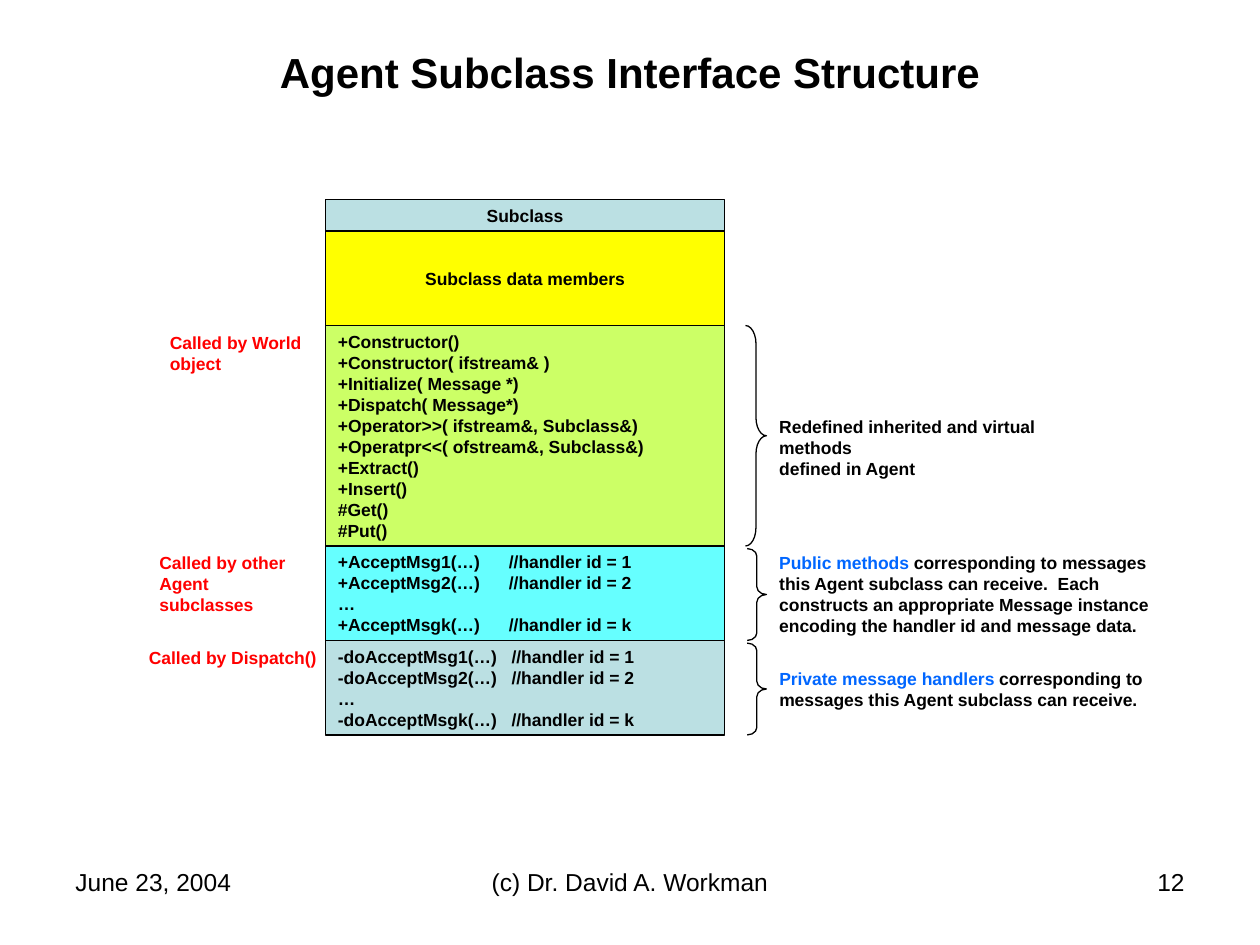
from pptx import Presentation
from pptx.dml.color import RGBColor
from pptx.enum.shapes import MSO_SHAPE
from pptx.enum.text import MSO_ANCHOR, MSO_AUTO_SIZE, PP_ALIGN
from pptx.oxml import parse_xml
from pptx.oxml.ns import nsdecls
from pptx.util import Pt

THEME = {
    "font": "Arial", "title": 24, "body": 10, "footer": 14, "line": 0.75,
    "black": "000000", "red": "FF0000", "blue": "0066FF",
    "pale": "BBE0E3", "yellow": "FFFF00", "green": "CCFF66", "cyan": "66FFFF",
}

TITLE = "Agent Subclass Interface Structure"

SECTIONS = [
    {"fill": "pale", "height": 18, "align": "c", "lines": ["Subclass"]},
    {"fill": "yellow", "height": 54, "align": "c", "lines": ["Subclass data members"]},
    {"fill": "green", "height": 126, "lines": [
        "+Constructor()",
        "+Constructor( ifstream& )",
        "+Initialize( Message *)",
        "+Dispatch( Message*)",
        "+Operator>>( ifstream&, Subclass&)",
        "+Operatpr<<( ofstream&, Subclass&)",
        "+Extract()",
        "+Insert()",
        "#Get()",
        "#Put()"],
     "caller": ("Called by World\nobject", 90, 89.3, 31.5),
     "brace": (426, 0, 12),
     "note": (["Redefined inherited and virtual methods\ndefined in Agent"], 48, 204.5, 31.5)},
    {"fill": "cyan", "height": 54, "tab": 97.7, "lines": [
        "+AcceptMsg1(…)\t//handler id = 1",
        "+AcceptMsg2(…)\t//handler id = 2",
        "…",
        "+AcceptMsgk(…)\t//handler id = k"],
     "caller": ("Called by other\nAgent subclasses", 84, 98.6, 31.5),
     "brace": (427, 1.5, 11),
     "note": ([[("Public methods", "blue"),
                (" corresponding to messages\nthis Agent subclass can receive.  Each\n"
                 "constructs an appropriate Message instance", "black")],
               "encoding the handler id and message data."], 0, 225.4, 55.7)},
    {"fill": "pale", "height": 54, "tab": 99.2, "lines": [
        "-doAcceptMsg1(…)\t//handler id = 1",
        "-doAcceptMsg2(…)\t//handler id = 2",
        "…",
        "-doAcceptMsgk(…)\t//handler id = k"],
     "caller": ("Called by Dispatch()", 78, 110.2, 19.4),
     "brace": (427, 1.5, 11),
     "note": ([[("Private message handlers", "blue"),
                (" corresponding to\nmessages this Agent subclass can receive.", "black")]],
              12, 224.6, 31.5)},
]

FOOTERS = [
    ("June 23, 2004", 36, 168, "l"),
    ("(c) Dr. David A. Workman", 246, 228, "c"),
    ("12", 516, 168, "r"),
]

STACK_LEFT, STACK_TOP, STACK_WIDTH = 186, 114, 228
NOTE_LEFT = 438.2
FOOTER_TOP, FOOTER_HEIGHT = 492, 37.5
ALIGN = {"l": PP_ALIGN.LEFT, "c": PP_ALIGN.CENTER, "r": PP_ALIGN.RIGHT}


def color(name):
    return RGBColor.from_string(THEME[name])


def write(sp, paragraphs, size="body", bold=True, ink="black", align="l",
          anchor=MSO_ANCHOR.TOP, wrap=True, tab=None):
    tf = sp.text_frame
    tf.word_wrap = wrap
    tf.auto_size = MSO_AUTO_SIZE.NONE if wrap else MSO_AUTO_SIZE.SHAPE_TO_FIT_TEXT
    tf.vertical_anchor = anchor
    for i, content in enumerate(paragraphs):
        p = tf.add_paragraph() if i else tf.paragraphs[0]
        p.alignment = ALIGN[align]
        if tab and "\t" in content:
            p._p.get_or_add_pPr().append(parse_xml(
                f'<a:tabLst {nsdecls("a")}><a:tab pos="{Pt(tab)}" algn="l"/></a:tabLst>'))
        runs = [(content, ink)] if isinstance(content, str) else content
        for text, run_ink in runs:
            for j, line in enumerate(text.split("\n")):
                if j:
                    p.add_line_break()
                r = p.add_run()
                r.text = line
                r.font.name = THEME["font"]
                r.font.size = Pt(THEME[size])
                r.font.bold = bold
                r.font.color.rgb = color(run_ink)


def add_text(s, box, paragraphs, **fmt):
    sp = s.shapes.add_textbox(*map(Pt, box))
    write(sp, paragraphs, **fmt)


def add_outlined(s, kind, box, fill=None):
    sp = s.shapes.add_shape(kind, *map(Pt, box))
    sp.shadow.inherit = False
    if fill:
        sp.fill.solid()
        sp.fill.fore_color.rgb = color(fill)
    else:
        sp.fill.background()
    sp.line.color.rgb = color("black")
    sp.line.width = Pt(THEME["line"])
    return sp


def add_section(s, section, top):
    height = section["height"]
    sp = add_outlined(s, MSO_SHAPE.RECTANGLE, (STACK_LEFT, top, STACK_WIDTH, height),
                      section["fill"])
    write(sp, section["lines"], align=section.get("align", "l"),
          anchor=MSO_ANCHOR.MIDDLE, tab=section.get("tab"))
    if "brace" not in section:
        return
    left, gap, width = section["brace"]
    brace_height = height - gap
    brace = add_outlined(s, MSO_SHAPE.RIGHT_BRACE, (left, top + gap, width, brace_height))
    brace.adjustments[0] = brace_height / 12 / width
    text, left, width, box_height = section["caller"]
    add_text(s, (left, top, width, box_height), [text], ink="red", wrap=False)
    note, offset, width, box_height = section["note"]
    add_text(s, (NOTE_LEFT, top + offset, width, box_height), note, wrap=False)


def main():
    prs = Presentation()
    prs.slide_width, prs.slide_height = Pt(720), Pt(540)
    s = prs.slides.add_slide(prs.slide_layouts[6])
    add_text(s, (36, 21.6, 648, 38.2), [TITLE], size="title", align="c",
             anchor=MSO_ANCHOR.MIDDLE)
    top = STACK_TOP
    for section in SECTIONS:
        add_section(s, section, top)
        top += section["height"]
    for text, left, width, align in FOOTERS:
        add_text(s, (left, FOOTER_TOP, width, FOOTER_HEIGHT), [text],
                 size="footer", bold=False, align=align)
    prs.save("out.pptx")


if __name__ == "__main__":
    main()
